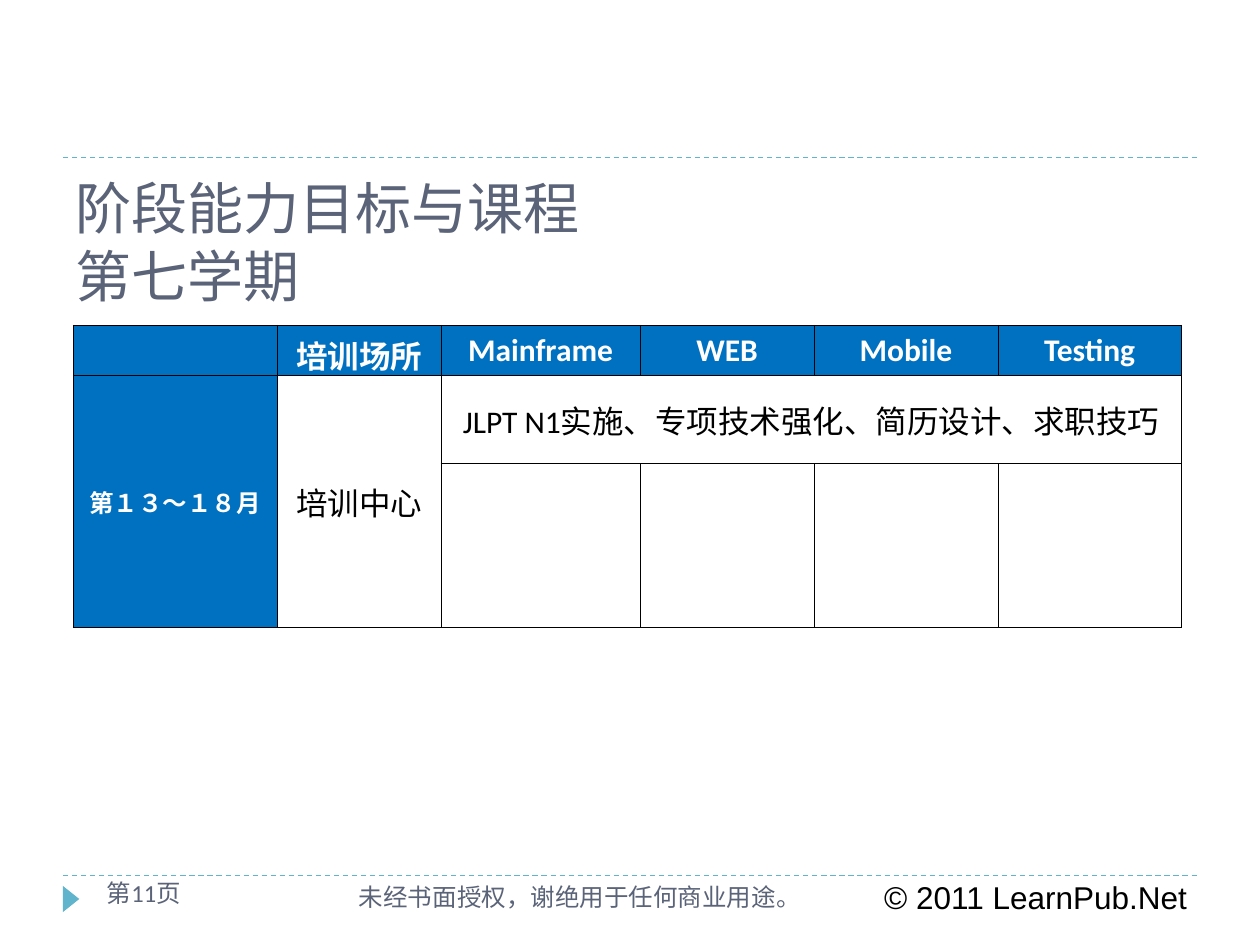
from pptx import Presentation
from pptx.dml.color import RGBColor
from pptx.enum.dml import MSO_LINE
from pptx.enum.shapes import MSO_CONNECTOR, MSO_SHAPE
from pptx.enum.text import MSO_ANCHOR, PP_ALIGN
from pptx.oxml.ns import qn
from pptx.util import Pt
from lxml.etree import SubElement

TEAL = RGBColor(0x60, 0xB5, 0xCC)
SLATE = RGBColor(0x5A, 0x63, 0x78)
BLUE = RGBColor(0x00, 0x70, 0xC0)
WHITE = RGBColor(0xFF, 0xFF, 0xFF)
BLACK = RGBColor(0x00, 0x00, 0x00)


def add_run(p, text, size, color, font="Calibri", bold=False):
    r = p.add_run()
    r.text = text
    r.font.name = font
    r.font.size = Pt(size)
    r.font.bold = bold
    r.font.color.rgb = color


def add_borders(cell):
    tcPr = cell._tc.get_or_add_tcPr()
    for i, side in enumerate(("a:lnL", "a:lnR", "a:lnT", "a:lnB")):
        ln = tcPr.makeelement(qn(side), {"w": str(Pt(0.45))})
        fill = SubElement(ln, qn("a:solidFill"))
        SubElement(fill, qn("a:srgbClr"), val=str(BLACK))
        tcPr.insert(i, ln)


prs = Presentation()
prs.slide_width = Pt(720)
prs.slide_height = Pt(540)
s = prs.slides.add_slide(prs.slide_layouts[6])

for y in (500.4, 90):
    line = s.shapes.add_connector(MSO_CONNECTOR.STRAIGHT, Pt(36), Pt(y), Pt(684), Pt(y))
    line.line.color.rgb = TEAL
    line.line.width = Pt(0.75)
    line.line.dash_style = MSO_LINE.DASH
    SubElement(line._element.spPr, qn("a:effectLst"))

sp = s.shapes.add_shape(MSO_SHAPE.ISOSCELES_TRIANGLE, Pt(33.1), Pt(509), Pt(15), Pt(9.4))
sp.rotation = 90
sp.shadow.inherit = False
sp.fill.solid()
sp.fill.fore_color.rgb = TEAL
sp.line.fill.background()

texts = [
    (498.2, 498.2, 192.2, 28.8, ["© 2011 LearnPub.Net"], 18, BLACK, "Arial"),
    (198, 500.4, 288, 28.8, ["未经书面授权，谢绝用于任何商业用途。"], 14, SLATE, "Calibri"),
    (54, 498.2, 119.5, 28.8, ["第11页"], 14, SLATE, "Calibri"),
    (36, 95.8, 648, 41.8, ["阶段能力目标与课程", "第七学期"], 32, SLATE, "Roboto Slab"),
]
for x, y, w, h, lines, size, color, font in texts:
    tf = s.shapes.add_textbox(Pt(x), Pt(y), Pt(w), Pt(h)).text_frame
    tf.word_wrap = True
    p = tf.paragraphs[0]
    for i, text in enumerate(lines):
        if i:
            p.add_line_break()
        add_run(p, text, size, color, font)

widths = [116.6, 93.6, 113.8, 99.4, 105.1, 104.8]
heights = [28.8, 50.4, 93.6]
table = s.shapes.add_table(3, 6, Pt(41.8), Pt(185.8), Pt(sum(widths)), Pt(sum(heights))).table
for col, w in zip(table.columns, widths):
    col.width = Pt(w)
for row, h in zip(table.rows, heights):
    row.height = Pt(h)

rows = [
    ["", "培训场所", "Mainframe", "WEB", "Mobile", "Testing"],
    ["第１３～１８月", "培训中心", "JLPT N1实施、专项技术强化、简历设计、求职技巧", "", "", ""],
    [""] * 6,
]
for i, row in enumerate(rows):
    for j, text in enumerate(row):
        cell = table.cell(i, j)
        header = i == 0 or j == 0
        cell.fill.solid()
        cell.fill.fore_color.rgb = BLUE if header else WHITE
        cell.vertical_anchor = MSO_ANCHOR.MIDDLE
        cell.margin_left = cell.margin_right = Pt(7.2)
        cell.margin_top = cell.margin_bottom = Pt(3.6)
        add_borders(cell)
        if text:
            p = cell.text_frame.paragraphs[0]
            p.alignment = PP_ALIGN.CENTER
            size = 14 if j == 0 else 18
            add_run(p, text, size, WHITE if header else BLACK, bold=header)

for j in (0, 1):
    table.cell(1, j).merge(table.cell(2, j))
table.cell(1, 2).merge(table.cell(1, 5))

prs.save("out.pptx")
